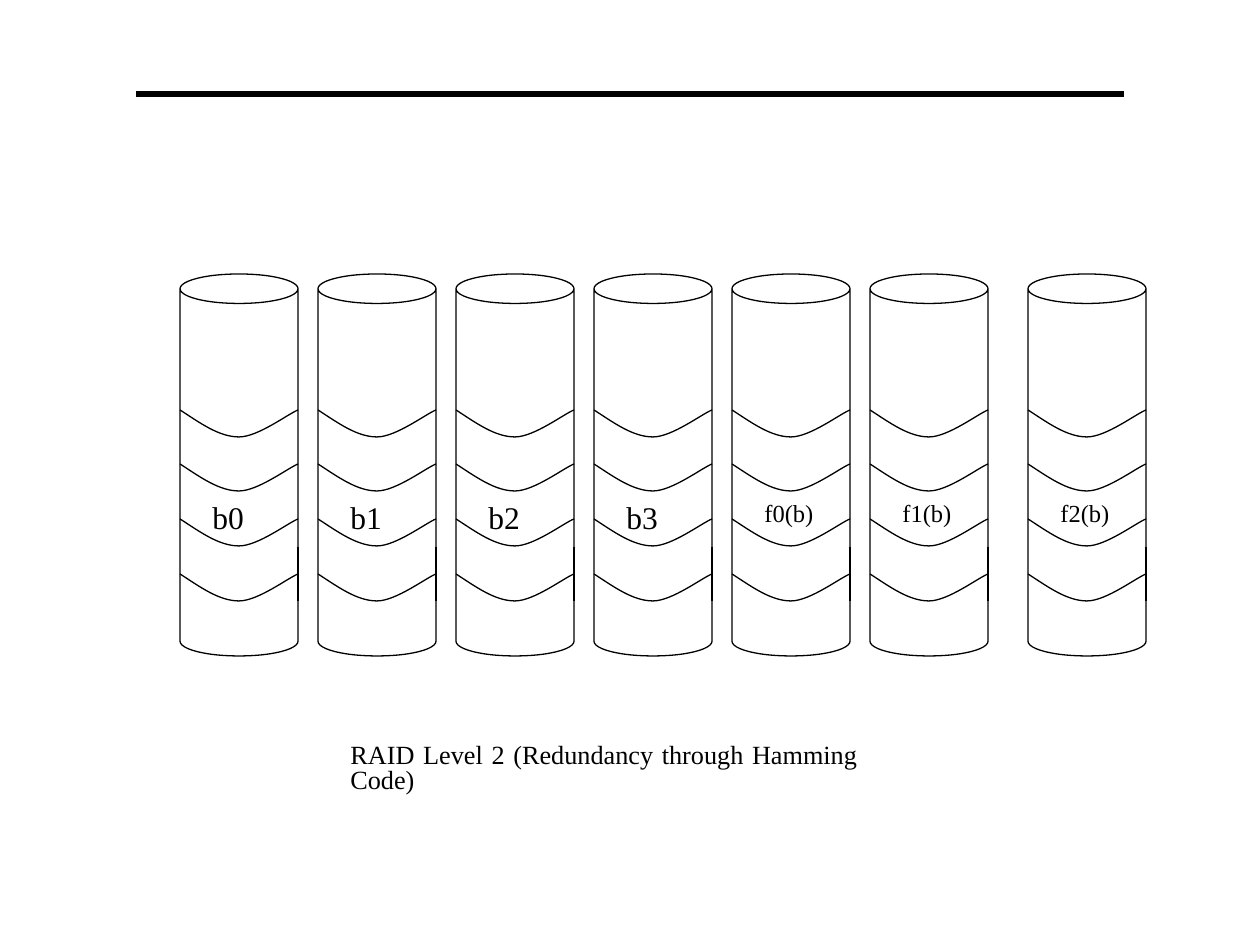
import pptx
import pptx.dml.color
import pptx.enum.shapes
import pptx.enum.text
import pptx.oxml.ns
import pptx.util
from dataclasses import dataclass
from lxml import etree

SCALE = 914400 / 126
SHAPE = pptx.enum.shapes.MSO_SHAPE
ALIGN = pptx.enum.text.PP_ALIGN
qn = pptx.oxml.ns.qn


@dataclass(frozen=True)
class Theme:
    ink: str = "000000"
    paper: str = "FFFFFF"
    font: str = "Times New Roman"
    data: int = 18
    check: int = 14
    note: int = 15
    thin: float = 0.75
    thick: float = 3


THEME = Theme()
DISKS = [
    (180, "b0", THEME.data),
    (318, "b1", THEME.data),
    (456, "b2", THEME.data),
    (594, "b3", THEME.data),
    (732, "f0(b)", THEME.check),
    (870, "f1(b)", THEME.check),
    (1028, "f2(b)", THEME.check),
]
WIDTH = 118
WAVE = [(0, 0), (20, 13), (39, 27), (59, 27), (78, 27), (108, 4), (WIDTH, 0)]


def px(n):
    return pptx.util.Emu(round(n * SCALE))


def rgb(code):
    return pptx.dml.color.RGBColor.from_string(code)


def stroke(item, color, width=THEME.thin):
    item.line.color.rgb = rgb(color)
    item.line.width = pptx.util.Pt(width)


def add_box(shapes, kind, x, y, w, h, edge):
    box = shapes.add_shape(kind, px(x), px(y), px(w), px(h))
    box.shadow.inherit = False
    box.fill.solid()
    box.fill.fore_color.rgb = rgb(THEME.paper)
    stroke(box, edge)
    return box


def add_text(shapes, text, x, y, w, h, size):
    """Add a white box with text at its top left; return the paragraph."""
    frame = add_box(shapes, SHAPE.RECTANGLE, x, y, w, h, THEME.paper).text_frame
    frame.word_wrap = True
    frame.vertical_anchor = pptx.enum.text.MSO_ANCHOR.TOP
    para = frame.paragraphs[0]
    para.text = text
    para.alignment = ALIGN.LEFT
    para.font.name = THEME.font
    para.font.size = pptx.util.Pt(size)
    para.font.color.rgb = rgb(THEME.ink)
    return para


def add_line(shapes, x1, y1, x2, y2, width=THEME.thin):
    kind = pptx.enum.shapes.MSO_CONNECTOR.STRAIGHT
    line = shapes.add_connector(kind, px(x1), px(y1), px(x2), px(y2))
    stroke(line, THEME.ink, width)
    etree.SubElement(line._element.spPr, qn("a:effectLst"))


def add_wave(shapes, x, y):
    """Draw an open curve, turning each three line points into one Bezier."""
    spots = [(px(x + dx), px(y + dy)) for dx, dy in WAVE]
    pen = shapes.build_freeform(*spots[0])
    pen.add_line_segments(spots[1:], close=False)
    wave = pen.convert_to_shape()
    wave.shadow.inherit = False
    wave.fill.background()
    stroke(wave, THEME.ink)
    steps = list(wave._element.iter(qn("a:lnTo")))
    for i in range(0, len(steps), 3):
        trio = steps[i:i + 3]
        curve = etree.Element(qn("a:cubicBezTo"))
        trio[0].addprevious(curve)
        for step in trio:
            curve.append(step[0])
            step.getparent().remove(step)


def add_disk(slide, x, text, size):
    shapes = slide.shapes.add_group_shape().shapes
    add_box(shapes, SHAPE.CAN, x, 274, WIDTH, 382, THEME.ink)
    add_text(shapes, text, x + 20, 492, 79, 55, size)
    for i in range(4):
        add_wave(shapes, x, 410 + 164 * i // 3)
    add_line(shapes, x + WIDTH, 547, x + WIDTH, 601)


def main():
    deck = pptx.Presentation()
    deck.slide_width, deck.slide_height = px(1260), px(945)
    slide = deck.slides.add_slide(deck.slide_layouts[6])
    add_line(slide.shapes, 136, 94, 1124, 94, THEME.thick)
    for x, text, size in DISKS:
        add_disk(slide, x, text, size)
    note = add_text(
        slide.shapes,
        "RAID Level 2 (Redundancy through Hamming Code)",
        338, 738, 532, 82, THEME.note,
    )
    note.alignment = ALIGN.JUSTIFY
    note.line_spacing = 0.8
    deck.save("out.pptx")


if __name__ == "__main__":
    main()
